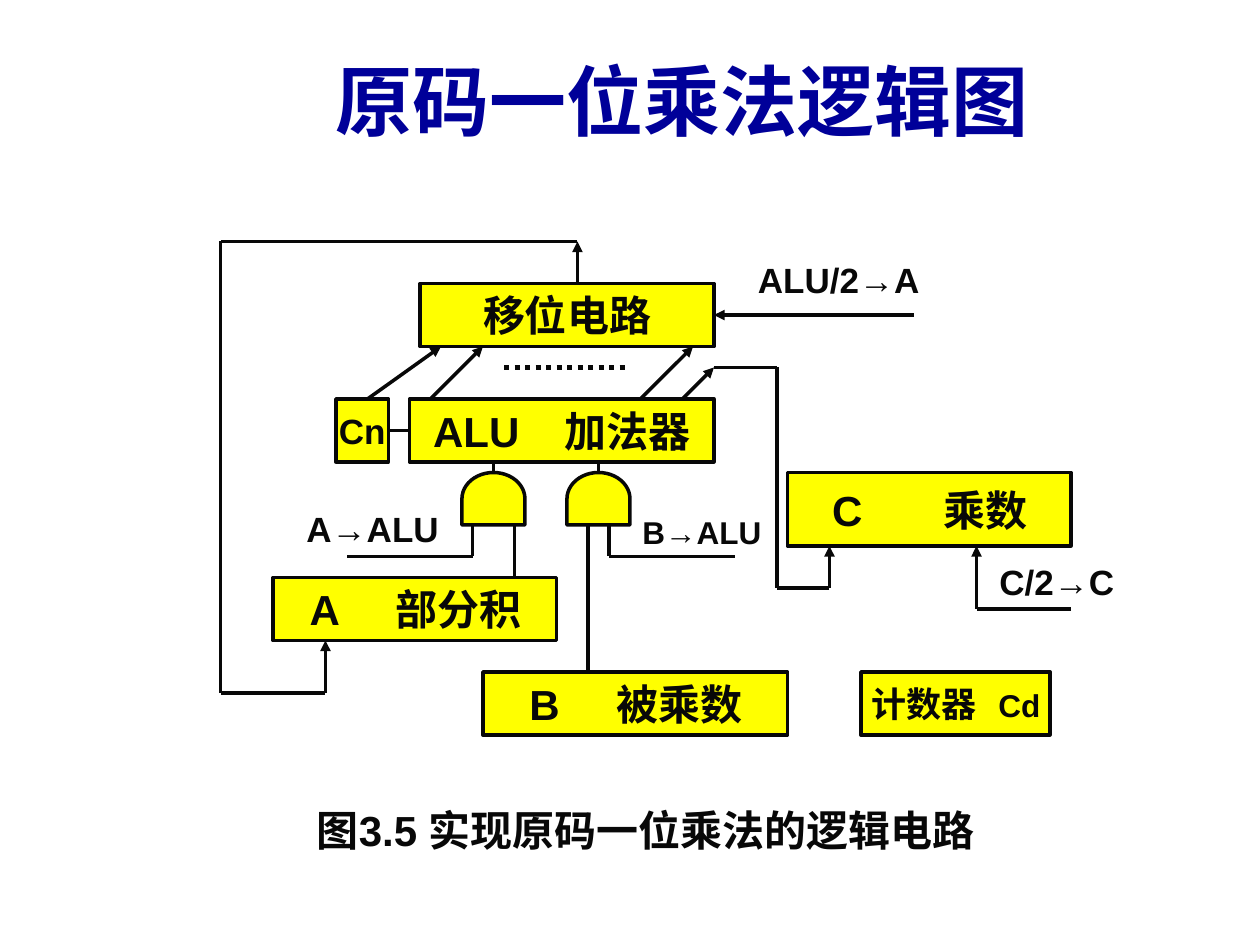
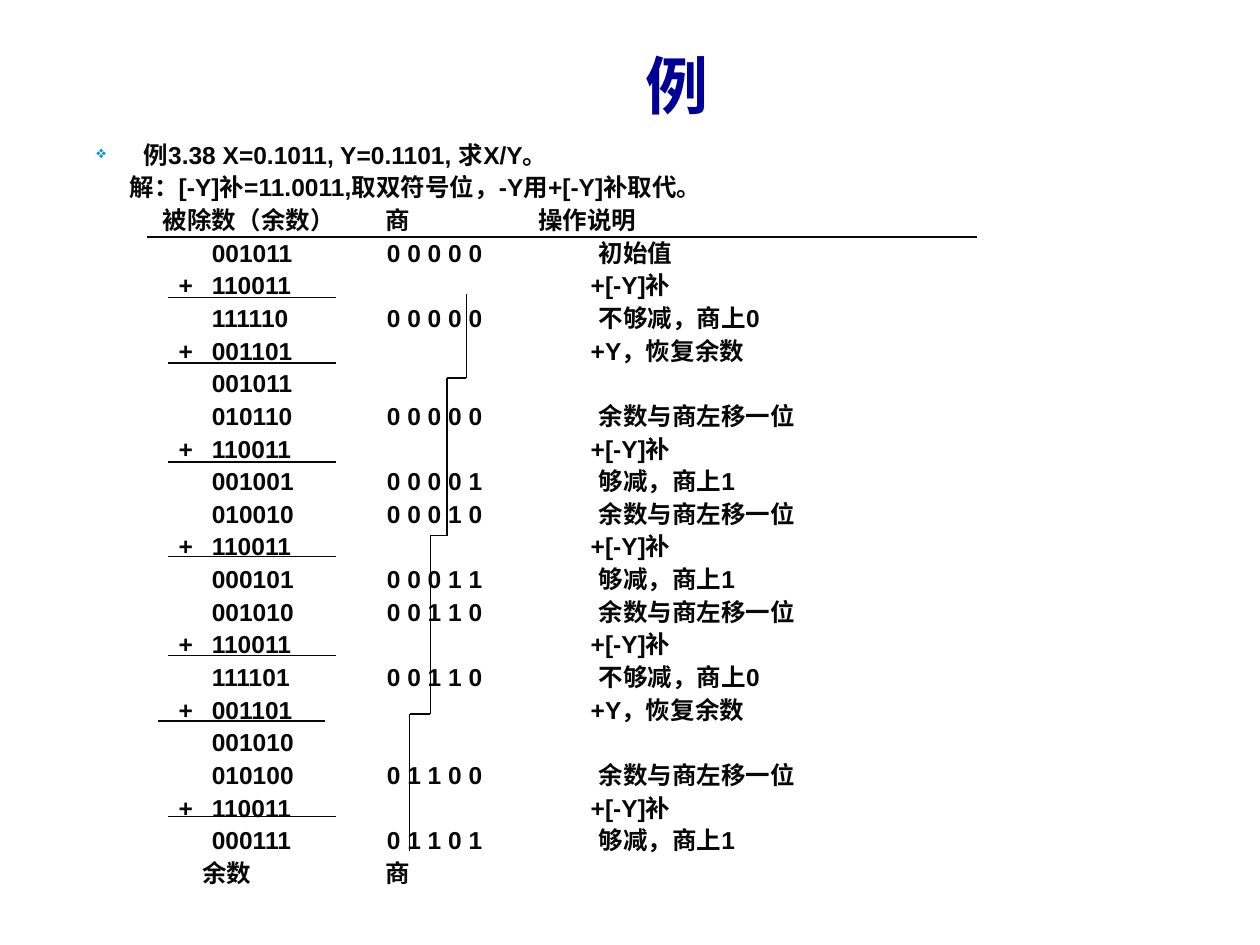
from lxml import etree
from pptx import Presentation
from pptx.dml.color import RGBColor
from pptx.enum.dml import MSO_LINE
from pptx.enum.shapes import MSO_CONNECTOR, MSO_SHAPE
from pptx.enum.text import MSO_ANCHOR, PP_ALIGN
from pptx.oxml.ns import qn
from pptx.util import Pt

COLORS = {"title": "000099", "ink": "080808", "box": "FFFF00", "bullet": "0099CC"}
FONT = "Arial"
STRAIGHT = MSO_CONNECTOR.STRAIGHT
RECT, GATE = MSO_SHAPE.RECTANGLE, MSO_SHAPE.FLOWCHART_DELAY
LEFT, CENTER = PP_ALIGN.LEFT, PP_ALIGN.CENTER
MIDDLE, TOP = MSO_ANCHOR.MIDDLE, MSO_ANCHOR.TOP
DOTTED = MSO_LINE.ROUND_DOT

HEADER_TABS = (38, 165, 252.5)
STEP_TABS = (66, 166, 287)
ADD_TABS = (47, 66, 282.5)
RESULT_TABS = (60.5, 165)

SHIFT = "余数与商左移一位"
ENOUGH = "够减，商上1"
SHORT = "不够减，商上0"
SUBTRACT = ("+", "110011", "+[-Y]补")
RESTORE = ("+", "001101", "+Y，恢复余数")
DIVISION_ROWS = [
    ("001011", "0 0 0 0 0", "初始值"),
    SUBTRACT,
    ("111110", "0 0 0 0 0", SHORT),
    RESTORE,
    ("001011",),
    ("010110", "0 0 0 0 0", SHIFT),
    SUBTRACT,
    ("001001", "0 0 0 0 1", ENOUGH),
    ("010010", "0 0 0 1 0", SHIFT),
    SUBTRACT,
    ("000101", "0 0 0 1 1", ENOUGH),
    ("001010", "0 0 1 1 0", SHIFT),
    SUBTRACT,
    ("111101", "0 0 1 1 0", SHORT),
    RESTORE,
    ("001010",),
    ("010100", "0 1 1 0 0", SHIFT),
    SUBTRACT,
    ("000111", "0 1 1 0 1", ENOUGH),
]


def rgb(name):
    """Return the named colour."""
    return RGBColor.from_string(COLORS[name])


def add_child(parent, tag, **attrs):
    """Append a drawing element with the given attributes."""
    return etree.SubElement(parent, qn(tag), {k: str(v) for k, v in attrs.items()})


def format_runs(p, size, color="ink"):
    """Give every run of a paragraph the deck's bold face."""
    for r in p.runs:
        r.font.size = Pt(size)
        r.font.bold = True
        r.font.color.rgb = rgb(color)
        r.font.name = FONT
        add_child(r._r.get_or_add_rPr(), "a:ea", typeface=FONT)


def set_tabs(p, stops):
    """Set left tab stops on a paragraph."""
    tabs = add_child(p._p.get_or_add_pPr(), "a:tabLst")
    for stop in stops:
        add_child(tabs, "a:tab", pos=Pt(stop), algn="l")


def add_text(s, text, x, y, w, h, size, color="ink", align=LEFT, anchor=TOP, wrap=True):
    """Add a single-paragraph text box."""
    tf = s.shapes.add_textbox(Pt(x), Pt(y), Pt(w), Pt(h)).text_frame
    tf.word_wrap = wrap
    tf.vertical_anchor = anchor
    p = tf.paragraphs[0]
    p.text = text
    p.alignment = align
    format_runs(p, size, color)


def add_title(s, text, x, y, w, h, size):
    """Add the slide title."""
    add_text(s, text, x, y, w, h, size, "title", CENTER, MIDDLE)


def add_block(s, kind, x, y, w, h):
    """Add a yellow outlined shape."""
    sp = s.shapes.add_shape(kind, Pt(x), Pt(y), Pt(w), Pt(h))
    sp.shadow.inherit = False
    sp.fill.solid()
    sp.fill.fore_color.rgb = rgb("box")
    sp.line.color.rgb = rgb("ink")
    sp.line.width = Pt(2)
    return sp


def add_box(s, text, x, y, w, h=36, size=24, indent=0, stop=None):
    """Add a labelled unit, centred or with its name at a tab stop."""
    sp = add_block(s, RECT, x, y, w, h)
    tf = sp.text_frame
    tf.word_wrap = True
    tf.vertical_anchor = MIDDLE
    tf.margin_left, tf.margin_right = Pt(indent), 0
    p = tf.paragraphs[0]
    p.text = text
    p.alignment = LEFT if stop else CENTER
    if stop:
        set_tabs(p, [stop])
    format_runs(p, size)
    return sp


def add_line(s, start, end, width=2.0, arrow=False):
    """Add a straight line, optionally with an arrowhead at its end."""
    cn = s.shapes.add_connector(STRAIGHT, *(Pt(v) for v in (*start, *end)))
    cn.line.color.rgb = rgb("ink")
    cn.line.width = Pt(width)
    if arrow:
        add_child(cn.line._get_or_add_ln(), "a:tailEnd", type="triangle")
    add_child(cn._element.spPr, "a:effectLst")
    return cn


def add_route(s, points, width=2.0, arrow=False):
    """Join successive points with lines, the last one carrying the arrow."""
    legs = list(zip(points, points[1:]))
    for i, (start, end) in enumerate(legs, 1):
        add_line(s, start, end, width, arrow and i == len(legs))


def add_row(tf, cells, stops, first_tab=True):
    """Append a tabbed line to the worked example."""
    p = tf.add_paragraph()
    p.text = ("\t" if first_tab else "") + "\t".join(cells)
    p.line_spacing = Pt(18.65)
    set_tabs(p, stops)
    format_runs(p, 14)


def build_logic_slide(prs):
    """Draw the multiplier logic diagram."""
    s = prs.slides.add_slide(prs.slide_layouts[6])
    add_title(s, "原码一位乘法逻辑图", 84, 12, 612, 90, 44)
    add_text(s, "图3.5 实现原码一位乘法的逻辑电路", 174, 456, 468, 42, 24)

    shifter = add_box(s, "移位电路", 240, 162, 168)
    alu = add_box(s, "ALU\t加法器", 234, 228, 174, indent=13.5, stop=75)
    add_box(s, "A\t部分积", 156, 330, 162, indent=21, stop=49)
    add_box(s, "C\t乘数", 450, 270, 162, 42, indent=25.5, stop=63.5)
    add_box(s, "B\t被乘数", 276, 384, 174, indent=26.5, stop=50)
    counter = add_box(s, "计数器\t", 492, 384, 108, size=20, indent=6, stop=72.5)
    p = counter.text_frame.paragraphs[0]
    r = p.add_run()
    r.text = "Cd"
    format_runs(p, 20)
    r.font.size = Pt(18)
    carry = add_box(s, "Cn", 192, 228, 30, size=20)

    for x in (282, 342):
        add_block(s, GATE, x - 15, 267, 30, 36).rotation = 270
        add_line(s, (x, 264), (x, 270))

    cn = add_line(s, (222, 246), (234, 246))
    cn.begin_connect(carry, 3)
    cn.end_connect(alu, 1)
    cn = add_line(s, (522, 180), (408, 180), arrow=True)
    cn.end_connect(shifter, 3)

    for points in (
        [(294, 300), (294, 330)],
        [(336, 300), (336, 384)],
        [(270, 300), (270, 318), (198, 318)],
        [(348, 300), (348, 318), (420, 318)],
    ):
        add_route(s, points)
    for points in (
        [(210, 228), (252, 198)],
        [(246, 228), (276, 198)],
        [(366, 228), (396, 198)],
        [(390, 228), (408, 210)],
        [(408, 210), (444, 210), (444, 336), (474, 336), (474, 312)],
        [(612, 348), (558, 348), (558, 312)],
        [(330, 162), (330, 138)],
        [(330, 138), (126, 138), (126, 396), (186, 396), (186, 366)],
    ):
        add_route(s, points, arrow=True)
    add_line(s, (288, 210), (360, 210), 3).line.dash_style = DOTTED

    for text, x, y, size in (
        ("ALU/2→A", 426, 144, 20),
        ("A→ALU", 168, 286.5, 20),
        ("B→ALU", 360, 289.5, 18),
        ("C/2→C", 564, 317, 20),
    ):
        add_text(s, text, x, y, 108, 31.5, size, wrap=False)


def build_division_slide(prs):
    """Lay out the worked division example."""
    s = prs.slides.add_slide(prs.slide_layouts[6])
    add_title(s, "例", 78, 24, 618, 48, 36)

    tf = s.shapes.add_textbox(Pt(48), Pt(74.5), Pt(648), Pt(438)).text_frame
    tf.word_wrap = True
    p = tf.paragraphs[0]
    p.text = "例3.38 X=0.1011, Y=0.1101, 求X/Y。"
    p.line_spacing = Pt(18.65)
    pPr = p._p.get_or_add_pPr()
    pPr.set("marL", str(Pt(27)))
    pPr.set("indent", str(-Pt(27)))
    add_child(add_child(pPr, "a:buClr"), "a:srgbClr", val=COLORS["bullet"])
    add_child(pPr, "a:buSzPct", val=70000)
    add_child(pPr, "a:buChar", char="❖")
    format_runs(p, 14)

    add_row(tf, ["解：[-Y]补=11.0011,取双符号位，-Y用+[-Y]补取代。"], [19])
    add_row(tf, ["被除数（余数）", "商", "操作说明"], HEADER_TABS)
    for cells in DIVISION_ROWS:
        add_row(tf, cells, ADD_TABS if cells[0] == "+" else STEP_TABS)
    add_row(tf, ["余数", "商"], RESULT_TABS)

    add_line(s, (84, 135.5), (558, 135.5), 0.75)
    for x, y in ((96, 170), (96, 207.5), (96, 264), (96, 318),
                 (96, 374.5), (90, 412), (96, 466.5)):
        add_line(s, (x, y), (x + 96, y), 0.75)
    add_route(s, [(266.5, 168), (266.5, 216), (255.5, 216), (255.5, 306),
                  (246, 306), (246, 408), (234, 408), (234, 486)], 0.75)


def main():
    """Build and save the deck."""
    prs = Presentation()
    prs.slide_width, prs.slide_height = Pt(720), Pt(540)
    build_logic_slide(prs)
    build_division_slide(prs)
    prs.save("out.pptx")


if __name__ == "__main__":
    main()
